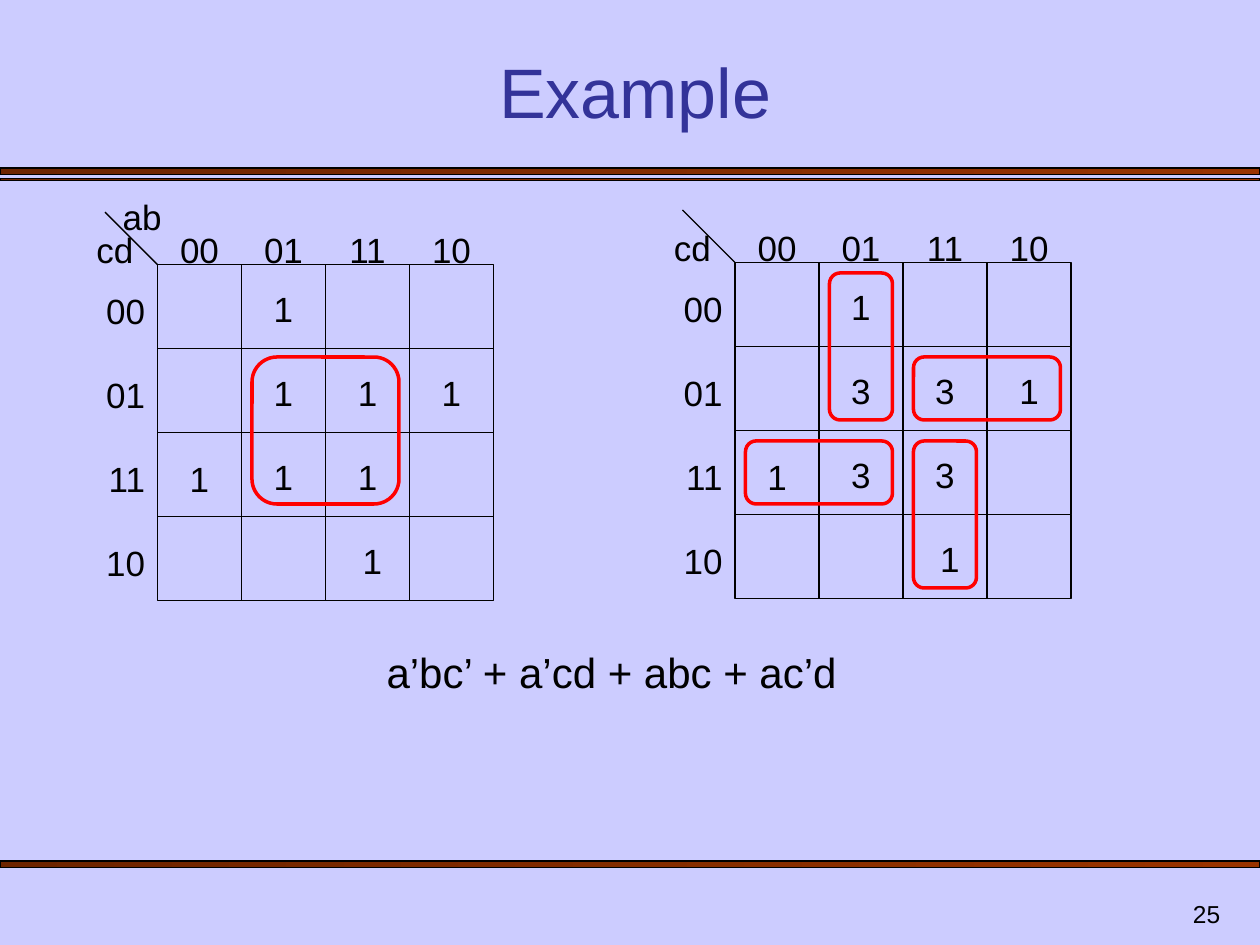
"""Build the Karnaugh map example slide."""
from dataclasses import dataclass
from typing import NamedTuple, Union

from lxml import etree
from pptx import Presentation
from pptx import util as u
from pptx.dml.color import RGBColor
from pptx.enum import shapes, text
from pptx.oxml import ns
from pptx.shapes.shapetree import GroupShapes, SlideShapes

Canvas = Union[SlideShapes, GroupShapes]

PX = u.Inches(1) // 120
CELL = 80
LABEL_HEIGHT = 52
LOOP_TOP = 250
LOOP_INSET = 10
CODES = ("00", "01", "11", "10")
BLACK = RGBColor(0x00, 0x00, 0x00)
RED = RGBColor(0xFF, 0x00, 0x00)
INDIGO = RGBColor(0x33, 0x33, 0x99)
LAVENDER = RGBColor(0xCC, 0xCC, 0xFF)
DARK_RUST = RGBColor(0x6D, 0x24, 0x00)
RUST = RGBColor(0x99, 0x33, 0x00)
LEFT, CENTER, RIGHT = (text.PP_ALIGN.LEFT, text.PP_ALIGN.CENTER, text.PP_ALIGN.RIGHT)


class Box(NamedTuple):
    left: int
    top: int
    width: int
    height: int

    def emu(self) -> list[int]:
        return [length * PX for length in self]


class Entry(NamedTuple):
    col: int
    row: int
    value: str
    drop: int = 16


class Loop(NamedTuple):
    col: int
    row: int
    cols: int
    rows: int


@dataclass
class KarnaughMap:
    left: int
    top: int
    entries: list[Entry]


COUNTS_MAP = KarnaughMap(700, 250, [
    Entry(1, 0, "1"), Entry(1, 1, "3"), Entry(2, 1, "3"), Entry(3, 1, "1"),
    Entry(0, 2, "1", 18), Entry(1, 2, "3"), Entry(2, 2, "3"), Entry(2, 3, " 1"),
])
MINTERM_MAP = KarnaughMap(150, 252, [
    Entry(1, 0, "1"), Entry(1, 1, "1"), Entry(2, 1, "1"), Entry(3, 1, "1"),
    Entry(0, 2, "1", 18), Entry(1, 2, "1"), Entry(2, 2, "1"), Entry(2, 3, " 1"),
])
MINTERM_LOOPS = [Loop(1, 1, 2, 2)]
COUNTS_LOOPS = [Loop(2, 2, 1, 2), Loop(2, 1, 2, 1), Loop(1, 0, 1, 2), Loop(0, 2, 2, 1)]
BARS = [Box(0, 160, 1200, 6), Box(0, 170, 1200, 2), Box(0, 820, 1200, 6)]


def add_label(canvas: Canvas, box: Box, wording: str, align: text.PP_ALIGN = CENTER,
              size: int = 20, color: RGBColor = BLACK, **frame_format) -> None:
    frame = canvas.add_textbox(*box.emu()).text_frame
    for name, value in {"word_wrap": True, **frame_format}.items():
        setattr(frame, name, value)
    paragraph = frame.paragraphs[0]
    paragraph.text = wording
    paragraph.alignment = align
    for name, value in {"name": "Arial", "size": u.Pt(size)}.items():
        setattr(paragraph.font, name, value)
    paragraph.font.color.rgb = color


def add_outline(canvas: Canvas, kind: shapes.MSO_SHAPE, box: Box,
                color: RGBColor = BLACK, weight: float = 0.75):
    outline = canvas.add_shape(kind, *box.emu())
    outline.shadow.inherit = False
    outline.fill.background()
    outline.line.color.rgb = color
    outline.line.width = u.Pt(weight)
    return outline


def add_bar(canvas: Canvas, box: Box) -> None:
    fill = add_outline(canvas, shapes.MSO_SHAPE.RECTANGLE, box).fill
    fill.gradient()
    fill.gradient_angle = 0
    for stop, position, color in zip(fill.gradient_stops, (0, 1), (DARK_RUST, RUST)):
        stop.position = position
        stop.color.rgb = color


def add_map(canvas: Canvas, kmap: KarnaughMap) -> None:
    group = canvas.add_group_shape().shapes
    left, top = kmap.left, kmap.top
    for col in range(len(CODES)):
        for row in range(len(CODES)):
            cell = Box(left + col * CELL, top + row * CELL, CELL, CELL)
            add_outline(group, shapes.MSO_SHAPE.RECTANGLE, cell)
    corner = [length * PX for length in (left - 50, top - 50, left, top)]
    diagonal = group.add_connector(shapes.MSO_CONNECTOR.STRAIGHT, *corner)
    diagonal.line.color.rgb = BLACK
    diagonal.line.width = u.Pt(0.75)
    etree.SubElement(diagonal._element.spPr, ns.qn("a:effectLst"))
    add_label(group, Box(left - 70, top - 40, 60, LABEL_HEIGHT), "cd", LEFT)
    for i, code in enumerate(CODES):
        add_label(group, Box(left + i * CELL, top - 40, CELL, LABEL_HEIGHT), code)
        add_label(group, Box(left - 70, top + 18 + i * CELL, 70, LABEL_HEIGHT), code, RIGHT)
    for col, row, value, drop in kmap.entries:
        spot = Box(left + col * CELL, top + row * CELL + drop, CELL, LABEL_HEIGHT)
        add_label(group, spot, value)


def add_loop(canvas: Canvas, kmap: KarnaughMap, loop: Loop) -> None:
    box = Box(kmap.left + loop.col * CELL + LOOP_INSET,
              LOOP_TOP + loop.row * CELL + LOOP_INSET,
              loop.cols * CELL - 2 * LOOP_INSET, loop.rows * CELL - 2 * LOOP_INSET)
    ring = add_outline(canvas, shapes.MSO_SHAPE.ROUNDED_RECTANGLE, box, RED, 2)
    ring.adjustments[0] = 0.17


def main() -> None:
    deck = Presentation()
    deck.slide_width, deck.slide_height = 1200 * PX, 900 * PX
    slide = deck.slides.add_slide(deck.slide_layouts[6])
    slide.background.fill.solid()
    slide.background.fill.fore_color.rgb = LAVENDER
    canvas = slide.shapes
    bottom = text.MSO_ANCHOR.BOTTOM
    for bar in BARS:
        add_bar(canvas, bar)
    add_label(canvas, Box(924, 840, 250, 50), "25", RIGHT, 14, vertical_anchor=bottom)
    add_map(canvas, COUNTS_MAP)
    add_label(canvas, Box(70, 50, 1070, 82), "Example", CENTER, 40, INDIGO,
              vertical_anchor=bottom)
    add_label(canvas, Box(105, 180, 64, LABEL_HEIGHT), "ab", LEFT)
    add_map(canvas, MINTERM_MAP)
    for kmap, loops in ((MINTERM_MAP, MINTERM_LOOPS), (COUNTS_MAP, COUNTS_LOOPS)):
        for loop in loops:
            add_loop(canvas, kmap, loop)
    add_label(canvas, Box(355, 610, 455, 60), "a’bc’ + a’cd + abc + ac’d", size=24,
              word_wrap=False)
    deck.save("out.pptx")


if __name__ == "__main__":
    main()
